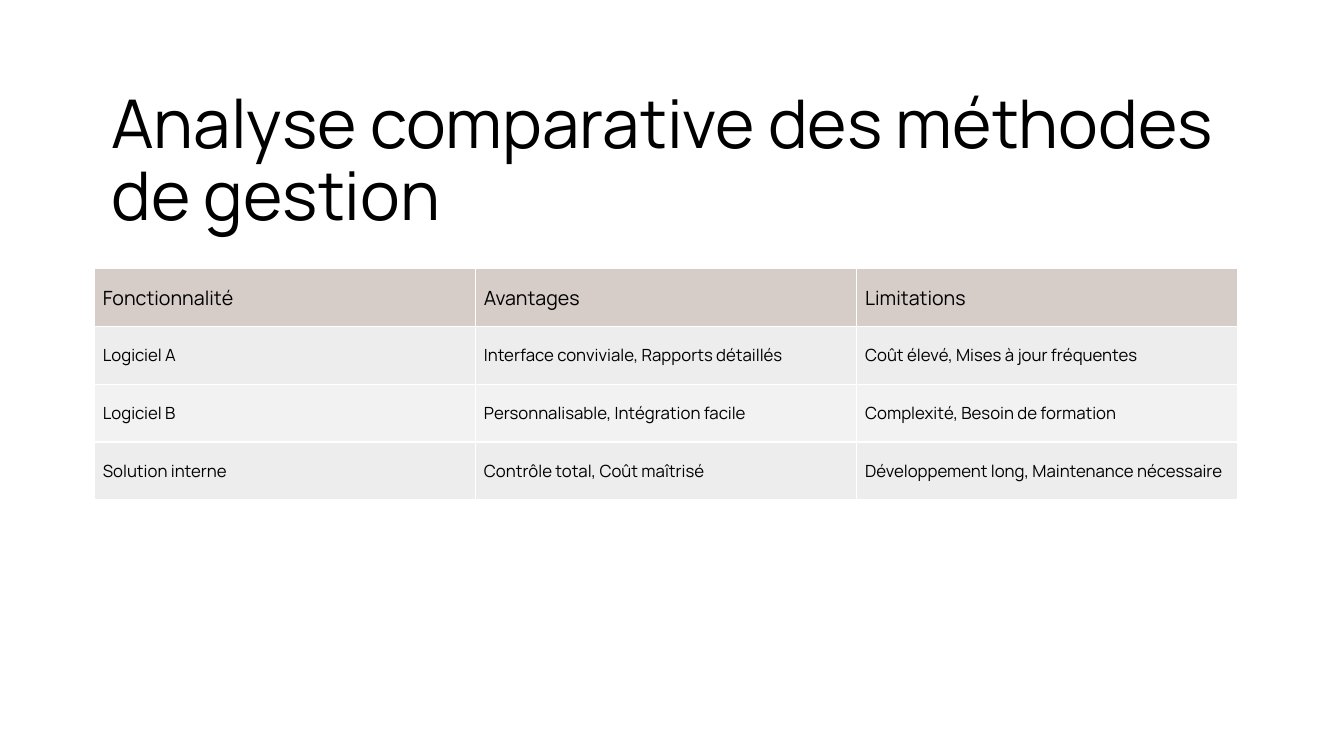
from dataclasses import dataclass

from lxml.etree import SubElement
from pptx import Presentation
from pptx.dml.color import RGBColor
from pptx.enum.text import MSO_ANCHOR
from pptx.oxml.ns import qn
from pptx.util import Pt

EMU_PER_PX = 9525


@dataclass(frozen=True)
class Theme:
    font: str = "Manrope"
    ink: str = "000000"
    header: str = "D7CDC8"
    bands: tuple = ("EDEDED", "F3F2F2")
    border: str = "FFFFFF"
    title_size: int = 48
    header_size: int = 14
    body_size: int = 12


THEME = Theme()

TITLE = "Analyse comparative des méthodes de gestion"
COMPARISON = [
    ("Fonctionnalité", "Avantages", "Limitations"),
    ("Logiciel A", "Interface conviviale, Rapports détaillés",
     "Coût élevé, Mises à jour fréquentes"),
    ("Logiciel B", "Personnalisable, Intégration facile",
     "Complexité, Besoin de formation"),
    ("Solution interne", "Contrôle total, Coût maîtrisé",
     "Développement long, Maintenance nécessaire"),
]


def px(length):
    return length * EMU_PER_PX


def write_text(frame, text, *, size, color=THEME.ink, line_spacing=None):
    para = frame.paragraphs[0]
    para.line_spacing = line_spacing
    span = para.add_run()
    span.text = text
    span.font.name = THEME.font
    span.font.size = Pt(size)
    span.font.color.rgb = RGBColor.from_string(color)


def set_margins(holder, margin):
    """Give a text frame or a table cell the same margin on all sides."""
    holder.margin_left = holder.margin_right = px(margin)
    holder.margin_top = holder.margin_bottom = px(margin)


def add_title(page, text, left, top, width, height):
    box = page.shapes.add_textbox(px(left), px(top), px(width), px(height))
    frame = box.text_frame
    frame.word_wrap = True
    frame.vertical_anchor = MSO_ANCHOR.TOP
    set_margins(frame, 10)
    write_text(frame, text, size=THEME.title_size, line_spacing=0.9)


def set_borders(cell):
    properties = cell._tc.get_or_add_tcPr()
    for position, side in enumerate(("lnL", "lnR", "lnT", "lnB")):
        line = SubElement(properties, qn(f"a:{side}"), w=str(Pt(1)))
        fill = SubElement(line, qn("a:solidFill"))
        SubElement(fill, qn("a:srgbClr"), val=THEME.border)
        properties.insert(position, line)


def format_cell(cell, text, *, fill, size):
    cell.fill.solid()
    cell.fill.fore_color.rgb = RGBColor.from_string(fill)
    cell.vertical_anchor = MSO_ANCHOR.MIDDLE
    set_margins(cell, 8)
    set_borders(cell)
    write_text(cell.text_frame, text, size=size)


def add_comparison(page, rows, left, top, column_width, row_height):
    row_count, column_count = len(rows), len(rows[0])
    table = page.shapes.add_table(
        row_count, column_count, px(left), px(top),
        px(column_width * column_count), px(row_height * row_count),
    ).table
    for row_index, row in enumerate(rows):
        if row_index == 0:
            fill, size = THEME.header, THEME.header_size
        else:
            fill = THEME.bands[(row_index - 1) % len(THEME.bands)]
            size = THEME.body_size
        for column_index, text in enumerate(row):
            format_cell(table.cell(row_index, column_index), text,
                        fill=fill, size=size)
    table.first_row = False
    table.horz_banding = False


def main():
    deck = Presentation()
    deck.slide_width, deck.slide_height = px(1280), px(720)
    page = deck.slides.add_slide(deck.slide_layouts[6])
    add_comparison(page, COMPARISON, left=90, top=256,
                   column_width=363, row_height=55)
    add_title(page, TITLE, left=96, top=76, width=1096, height=138)
    deck.save("out.pptx")


if __name__ == "__main__":
    main()
